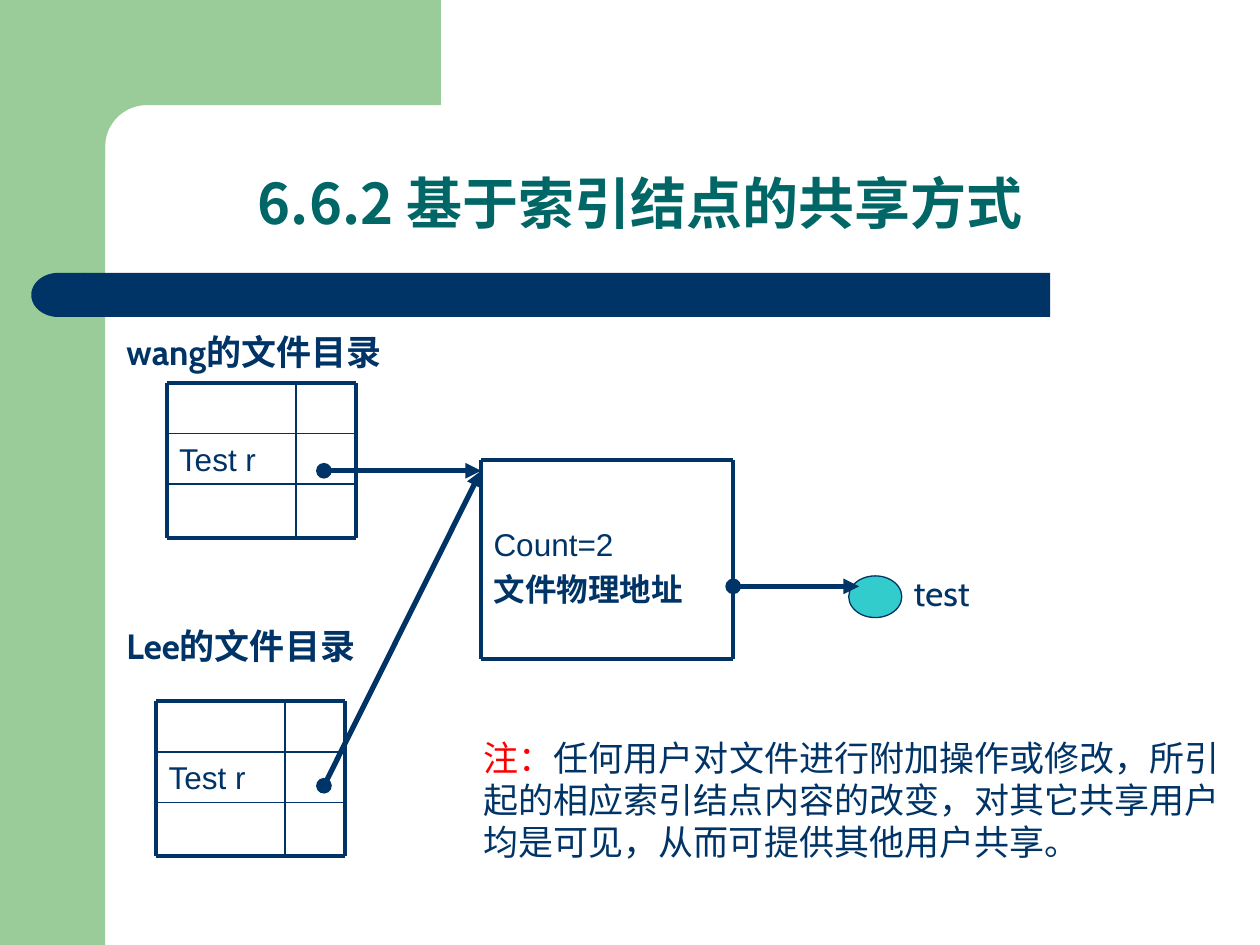
import math

import lxml.etree
import pptx
import pptx.dml.color
import pptx.enum.shapes
import pptx.enum.text
import pptx.oxml.ns
import pptx.util

Cm = pptx.util.Cm
Pt = pptx.util.Pt
RGBColor = pptx.dml.color.RGBColor
SHAPE = pptx.enum.shapes.MSO_SHAPE
qn = pptx.oxml.ns.qn

NAVY = RGBColor(0x00, 0x33, 0x66)
TEAL = RGBColor(0x00, 0x66, 0x66)
GREEN = RGBColor(0x99, 0xCC, 0x99)
AQUA = RGBColor(0x33, 0xCC, 0xCC)
RED = RGBColor(0xFF, 0x00, 0x00)


class Deck:
    sans = "Arial"
    label_font = "Cabin"
    heading_font = "Noto Sans CJK SC"
    frame_width = 2.25
    arrow_width = 3

    def __init__(self, prs):
        self.s = prs.slides.add_slide(prs.slide_layouts[5])

    def title(self, number, words, *box):
        sp = self.s.shapes.title
        sp.left, sp.top, sp.width, sp.height = map(Cm, box)
        tf = sp.text_frame
        tf.vertical_anchor = pptx.enum.text.MSO_ANCHOR.BOTTOM
        p = tf.paragraphs[0]
        p.alignment = pptx.enum.text.PP_ALIGN.CENTER
        p.line_spacing = 0.9
        p.font.size = Pt(32)
        p.font.bold = True
        p.font.color.rgb = TEAL
        for text, font in ((number, self.heading_font), (words, self.sans)):
            r = p.add_run()
            r.text = text
            r.font.name = font

    def paint(self, sp, fill, line=None, width=1):
        sp.shadow.inherit = False
        sp.fill.solid()
        sp.fill.fore_color.rgb = fill
        if line is None:
            sp.line.fill.background()
        else:
            sp.line.color.rgb = line
            sp.line.width = Pt(width)

    def shape(self, kind, *box, fill, line=None, width=1):
        sp = self.s.shapes.add_shape(kind, *map(Cm, box))
        self.paint(sp, fill, line, width)
        return sp

    def corner(self, left, right, bottom, inner, radius):
        centre = inner + radius
        angles = [math.radians(a) for a in range(0, 91, 6)]
        arc = [(centre - radius * math.sin(a), centre - radius * math.cos(a))
               for a in angles]
        points = [(right, 0), (right, inner), *arc,
                  (inner, bottom), (left, bottom), (left, 0)]
        points = [(Cm(x), Cm(y)) for x, y in points]
        builder = self.s.shapes.build_freeform(*points[0])
        builder.add_line_segments(points[1:])
        self.paint(builder.convert_to_shape(), GREEN)

    def text(self, lines, *box, size=20, font=label_font, bold=False, top=0.13):
        tf = self.s.shapes.add_textbox(*map(Cm, box)).text_frame
        tf.word_wrap = True
        tf.margin_top = Cm(top)
        tf.text = "\n".join(lines)
        for p in tf.paragraphs:
            p.font.size = Pt(size)
            p.font.name = font
            p.font.bold = bold
            p.font.color.rgb = NAVY
        return tf

    def line(self, x1, y1, x2, y2, width=1, arrow=False):
        cxn = self.s.shapes.add_connector(
            pptx.enum.shapes.MSO_CONNECTOR.STRAIGHT, *map(Cm, (x1, y1, x2, y2)))
        cxn.line.color.rgb = NAVY
        cxn.line.width = Pt(width)
        props = cxn.element.spPr
        if arrow:
            ln = props.find(qn("a:ln"))
            lxml.etree.SubElement(ln, qn("a:headEnd"), type="oval")
            lxml.etree.SubElement(ln, qn("a:tailEnd"), type="triangle")
        lxml.etree.SubElement(props, qn("a:effectLst"))

    def arrow(self, *ends):
        self.line(*ends, width=self.arrow_width, arrow=True)

    def frame(self, left, top, width, height):
        right, bottom = left + width, top + height
        for x in (left, right):
            self.line(x, top, x, bottom, self.frame_width)
        for y in (top, bottom):
            self.line(left, y, right, y, self.frame_width)

    def directory(self, left, top):
        width, height, row, column = 3.81, 3.12, 1.02, 2.6
        self.text(["Test r"], left, top + row, column, row, size=18, font=self.sans)
        self.line(left + column, top, left + column, top + height)
        for y in (top + row, top + 2 * row):
            self.line(left, y, left + width, y)
        self.frame(left, top, width, height)


def main():
    prs = pptx.Presentation()
    prs.slide_width, prs.slide_height = Cm(25.4), Cm(19.05)
    deck = Deck(prs)

    deck.shape(SHAPE.RECTANGLE, 0, 0, 2.12, 19.05, fill=GREEN)
    deck.corner(left=1.27, right=8.89, bottom=3.25, inner=2.12, radius=0.84)
    deck.shape(SHAPE.RECTANGLE, 1.7, 5.5, 19.47, 0.89, fill=NAVY)
    cap = deck.shape(SHAPE.FLOWCHART_DELAY, 0.63, 5.5, 1.09, 0.89, fill=NAVY)
    cap.rotation = 180
    deck.title("6.6.2 ", "基于索引结点的共享方式", 2.1, 2.13, 21.62, 2.77)

    deck.text(["wang的文件目录"], 2.3, 6.53, 6.15, 1.96, bold=True)
    deck.directory(3.36, 7.72)
    deck.text(["Lee的文件目录"], 2.3, 12.45, 6.15, 1.12, bold=True)
    deck.directory(3.15, 14.14)

    index_node = (9.7, 9.27, 5.08, 4.02)
    tf = deck.text(["Count=2", "文件物理地址"], *index_node,
                   size=18, font=deck.sans, top=1.31)
    address = tf.paragraphs[1]
    address.space_before = Pt(4.5)
    address.font.bold = True
    deck.frame(*index_node)

    deck.shape(SHAPE.OVAL, 17.11, 11.61, 1.07, 0.84, fill=AQUA, line=NAVY, width=0.75)
    deck.text(["test"], 18.17, 11.4, 2.11, 1.12)

    deck.arrow(6.53, 9.49, 9.7, 9.49)
    deck.arrow(6.53, 15.84, 9.7, 9.49)
    deck.arrow(14.78, 11.82, 17.32, 11.82)

    tf = deck.text(["注："], 9.5, 14.71, 15.44, 2.79)
    p = tf.paragraphs[0]
    p.runs[0].font.color.rgb = RED
    r = p.add_run()
    r.text = ("任何用户对文件进行附加操作或修改，所引起的相应索引结点内容的改变，"
              "对其它共享用户均是可见，从而可提供其他用户共享。")

    prs.save("out.pptx")


if __name__ == "__main__":
    main()
